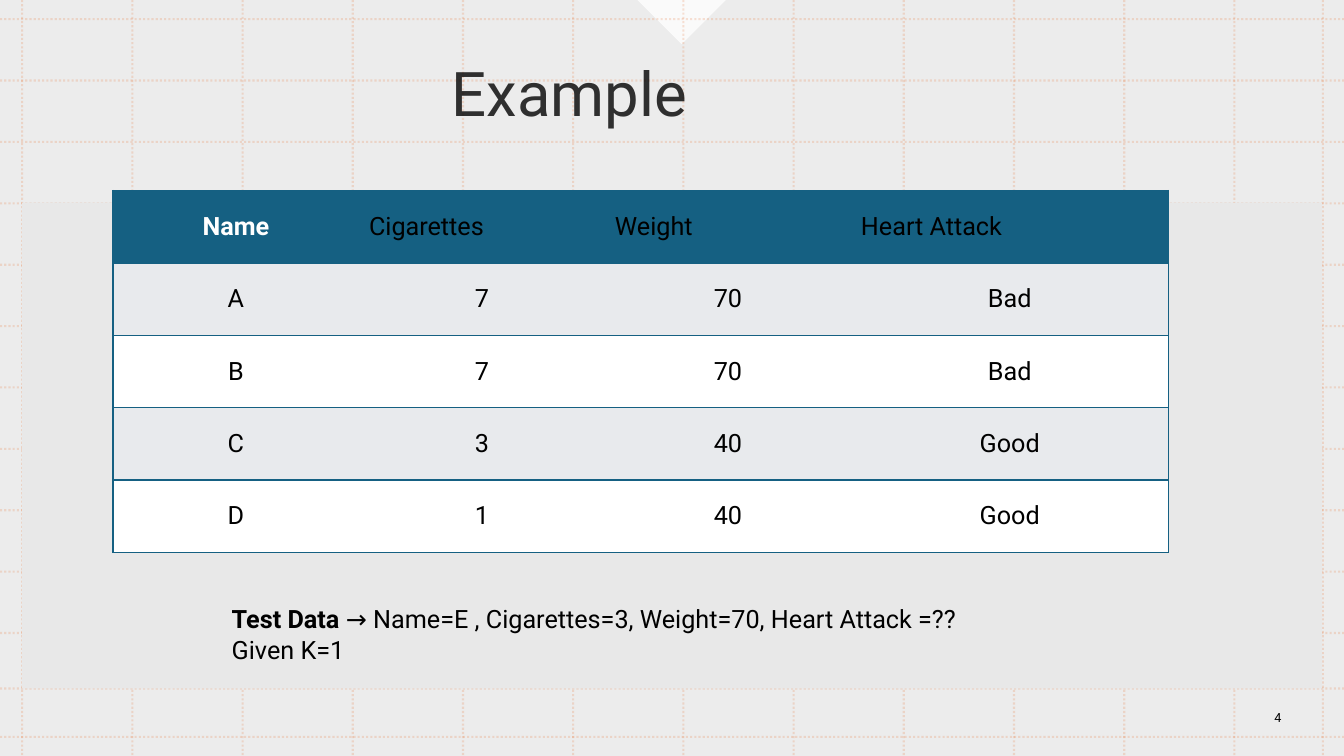
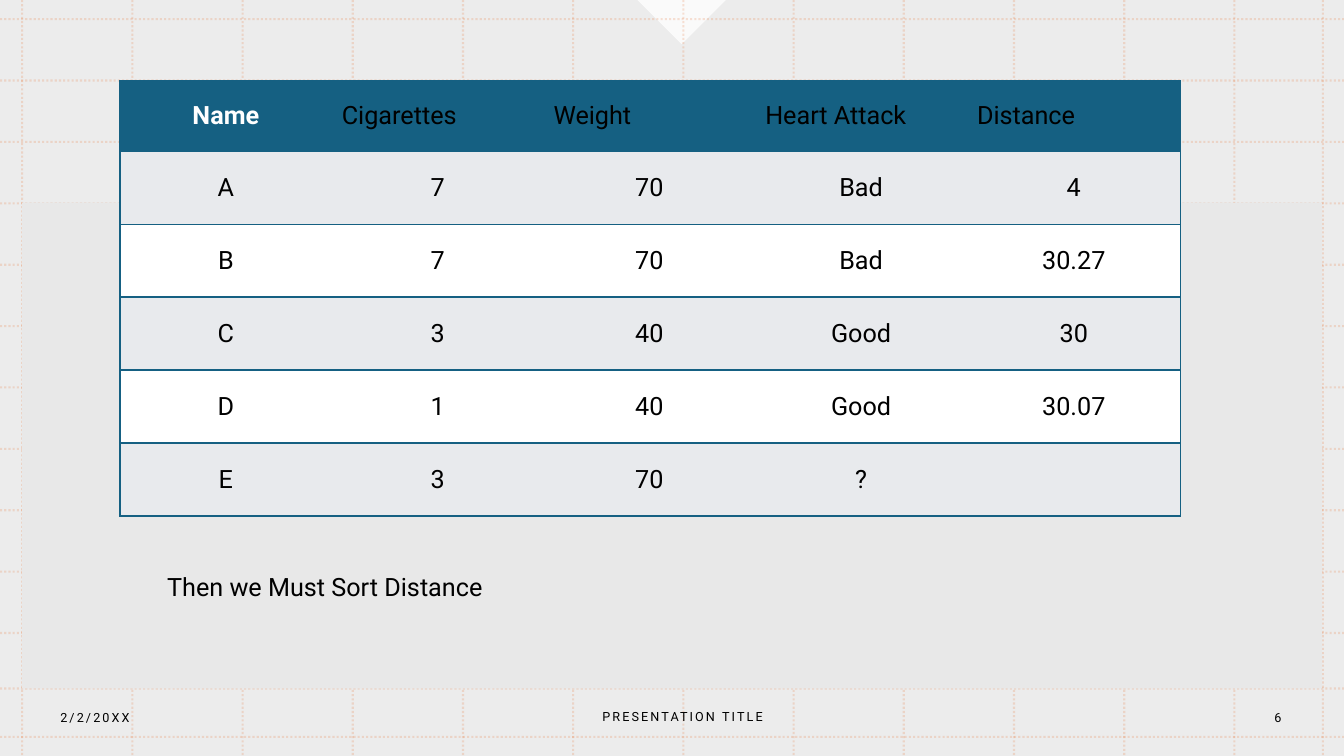
from dataclasses import dataclass

from lxml.etree import SubElement
from pptx import Presentation
from pptx.dml.color import RGBColor
from pptx.enum.dml import MSO_LINE
from pptx.enum.shapes import MSO_CONNECTOR, MSO_SHAPE
from pptx.enum.text import MSO_ANCHOR as Anchor, PP_ALIGN as Align
from pptx.oxml.ns import qn
from pptx.util import Emu, Pt

EMU_PER_PX = 9144  # 100 px to the inch
SLIDE_WIDTH, SLIDE_HEIGHT = 1333, 750


def px(length):
    return Emu(round(length * EMU_PER_PX))


@dataclass(frozen=True)
class Theme:
    font: str = "Roboto"
    ink: str = "000000"
    white: str = "FFFFFF"
    panel: str = "E8E8E8"
    grid: str = "E97132"
    header: str = "156082"
    band: str = "E8EAED"
    title_size: int = 44
    body_size: int = 18
    footer_size: int = 9
    grid_width: float = 1.5
    border_width: int = 1


class Deck:
    def __init__(self, theme):
        self.theme = theme
        self.presentation = Presentation()
        self.presentation.slide_width = px(SLIDE_WIDTH)
        self.presentation.slide_height = px(SLIDE_HEIGHT)
        self.slide = None

    def add_slide(self):
        blank_layout = self.presentation.slide_layouts[6]
        self.slide = self.presentation.slides.add_slide(blank_layout)
        self.backdrop()

    # Shared backdrop: tint, notch, dotted grid, panel
    def backdrop(self):
        theme = self.theme
        self.shape(MSO_SHAPE.RECTANGLE, 0, 0, SLIDE_WIDTH, SLIDE_HEIGHT,
                   theme.panel, opacity=80)
        notch = self.shape(MSO_SHAPE.RIGHT_TRIANGLE, 645, -31, 62, 62,
                           theme.white, opacity=75)
        notch.rotation = 315
        for x in [22 + 109.3 * column for column in range(12)] + [1312]:
            self.grid_line(x, 0, x, SLIDE_HEIGHT)
        for y in [19 + 60.9 * row for row in range(11)] + [683, 731]:
            self.grid_line(0, y, SLIDE_WIDTH, y)
        self.shape(MSO_SHAPE.RECTANGLE, 22, 201, 1289, 482, theme.panel)

    @staticmethod
    def set_opacity(element, percent):
        color = next(element.iter(qn("a:srgbClr")))
        SubElement(color, qn("a:alpha")).set("val", str(percent * 1000))

    def shape(self, kind, left, top, width, height, color, opacity=100):
        shape = self.slide.shapes.add_shape(
            kind, px(left), px(top), px(width), px(height))
        shape.shadow.inherit = False
        shape.fill.solid()
        shape.fill.fore_color.rgb = RGBColor.from_string(color)
        shape.line.fill.background()
        if opacity < 100:
            self.set_opacity(shape.element.spPr, opacity)
        return shape

    def grid_line(self, x1, y1, x2, y2):
        connector = self.slide.shapes.add_connector(
            MSO_CONNECTOR.STRAIGHT, px(x1), px(y1), px(x2), px(y2))
        connector.line.color.rgb = RGBColor.from_string(self.theme.grid)
        connector.line.width = Pt(self.theme.grid_width)
        connector.line.dash_style = MSO_LINE.ROUND_DOT
        properties = connector.element.spPr
        self.set_opacity(properties, 20)
        SubElement(properties, qn("a:effectLst"))

    # Text
    def run(self, paragraph, text, size, color=None, bold=False):
        run = paragraph.add_run()
        run.text = text
        run.font.name = self.theme.font
        run.font.size = Pt(size)
        run.font.bold = bold
        run.font.color.rgb = RGBColor.from_string(color or self.theme.ink)
        return run

    def text_frame(self, left, top, width, height, anchor):
        box = self.slide.shapes.add_textbox(
            px(left), px(top), px(width), px(height))
        box.text_frame.word_wrap = True
        box.text_frame.vertical_anchor = anchor
        return box.text_frame

    def title(self, text):
        frame = self.text_frame(220, 35, 690, 121, Anchor.MIDDLE)
        paragraph = frame.paragraphs[0]
        paragraph.alignment = Align.CENTER
        paragraph.line_spacing = 0.9
        run = self.run(paragraph, text, self.theme.title_size)
        self.set_opacity(run.font._element, 80)

    def note(self, left, top, width, height, lines):
        """Each line is a list of (text, bold) runs."""
        frame = self.text_frame(left, top, width, height, Anchor.TOP)
        for index, line in enumerate(lines):
            paragraph = frame.add_paragraph() if index else frame.paragraphs[0]
            for text, bold in line:
                self.run(paragraph, text, self.theme.body_size, bold=bold)

    def footer_item(self, left, top, width, text, align=Align.CENTER):
        frame = self.text_frame(left, top, width, 40, Anchor.MIDDLE)
        paragraph = frame.paragraphs[0]
        paragraph.alignment = align
        run = self.run(paragraph, text, self.theme.footer_size)
        run.font._element.set("spc", "150")

    def footer(self, number, date=None, name=None):
        if date:
            self.footer_item(50, 692, 280, date, Align.LEFT)
        if name:
            self.footer_item(459, 691, 436, name)
        self.footer_item(1224, 692, 87, number)

    # Tables
    def borders(self, cell, visible_sides):
        properties = cell._tc.get_or_add_tcPr()
        for position, side in enumerate("LRTB"):
            line = SubElement(properties, qn(f"a:ln{side}"))
            properties.insert(position, line)
            if side in visible_sides:
                line.set("w", str(Pt(self.theme.border_width)))
                fill = SubElement(line, qn("a:solidFill"))
                SubElement(fill, qn("a:srgbClr")).set("val", self.theme.header)
            else:
                SubElement(line, qn("a:noFill"))

    def table(self, left, top, width, height, column_width, header_height, rows):
        """Columns are equal; the last one takes what is left of the width."""
        theme = self.theme
        last_row, last_column = len(rows) - 1, len(rows[0]) - 1
        table = self.slide.shapes.add_table(
            len(rows), len(rows[0]), px(left), px(top), px(width), px(height)).table
        table.first_row = table.horz_banding = False
        for column in table.columns:
            column.width = px(column_width)
        table.columns[last_column].width = px(width - column_width * last_column)
        for row in table.rows:
            row.height = px((height - header_height) / last_row)
        table.rows[0].height = px(header_height)

        for r, values in enumerate(rows):
            row_color = (theme.white, theme.band)[r % 2] if r else theme.header
            for c, value in enumerate(values):
                cell = table.cell(r, c)
                cell.vertical_anchor = Anchor.MIDDLE
                cell.fill.solid()
                cell.fill.fore_color.rgb = RGBColor.from_string(row_color)
                sides = "TB" + ("L" if c == 0 else "")
                self.borders(cell, sides + ("R" if c == last_column else ""))
                paragraph = cell.text_frame.paragraphs[0]
                paragraph.alignment = Align.LEFT if r == 0 and c else Align.CENTER
                if value:
                    lead = r == c == 0
                    self.run(paragraph, value, theme.body_size,
                             theme.white if lead else theme.ink, bold=lead)


PATIENTS = [
    ["Name", "Cigarettes", "Weight", "Heart Attack"],
    ["A", "7", "70", "Bad"],
    ["B", "7", "70", "Bad"],
    ["C", "3", "40", "Good"],
    ["D", "1", "40", "Good"],
]
TEST_PATIENT = ["E", "3", "70", "?"]
DISTANCES = ["Distance", "4", "30.27", "30", "30.07", ""]


def main():
    deck = Deck(Theme())

    # Example data and the test case
    deck.add_slide()
    deck.title("Example")
    deck.footer("4")
    deck.table(112, 189, 1047, 359, 244, 72, PATIENTS)
    deck.note(220, 594, 964, 71, [
        [("Test Data ", True),
         ("→ Name=E , Cigarettes=3, Weight=70, Heart Attack =??", False)],
        [("Given K=1", False)],
    ])

    # The same data with distances
    deck.add_slide()
    deck.footer("6", "2/2/20XX", "PRESENTATION TITLE")
    measured = [row + [distance] for row, distance
                in zip(PATIENTS + [TEST_PATIENT], DISTANCES)]
    deck.table(119, 80, 1052, 432, 210, 70, measured)
    deck.note(156, 562, 360, 40, [[("Then we Must Sort Distance", False)]])

    deck.presentation.save("out.pptx")


if __name__ == "__main__":
    main()
